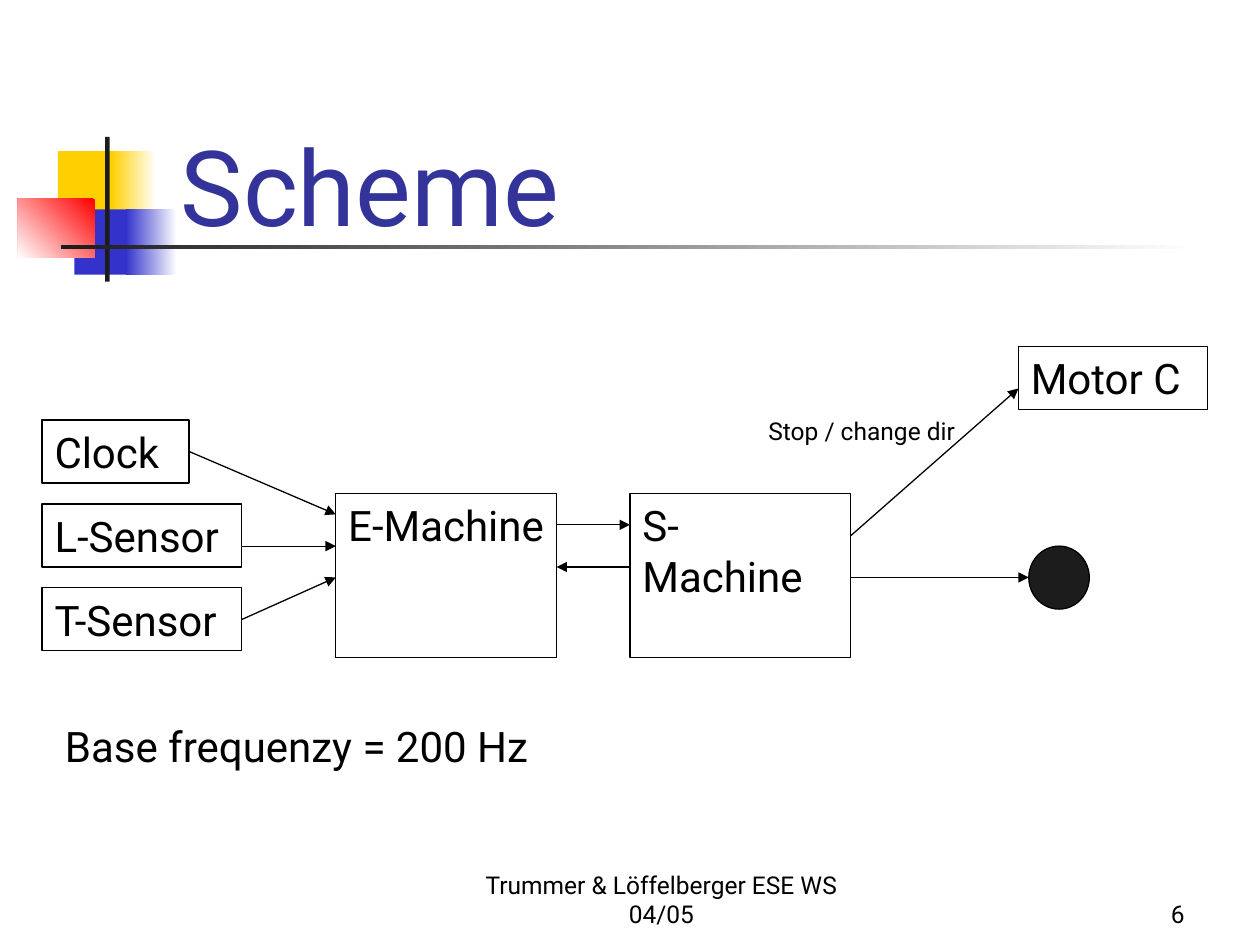
from dataclasses import dataclass

from lxml.etree import SubElement
from pptx import Presentation
from pptx.dml.color import RGBColor as Rgb
from pptx.enum.shapes import MSO_CONNECTOR as Link, MSO_SHAPE as Preset
from pptx.enum.text import MSO_ANCHOR as Anchor, MSO_AUTO_SIZE as Fit, PP_ALIGN as Align
from pptx.oxml.ns import qn
from pptx.util import Cm, Pt


@dataclass(frozen=True)
class Theme:
    font: str = "Roboto"
    title_size: int = 60
    body_size: int = 24
    small_size: int = 14
    title: str = "333399"
    ink: str = "000000"
    dark: str = "1C1C1C"
    white: str = "FFFFFF"
    yellow: str = "FFCF01"
    blue: str = "3333CC"
    red: str = "FF0000"
    line_width: float = 0.75


def apply(target, values):
    for name, value in values.items():
        setattr(target, name, value)


def cm(values):
    return [Cm(value) for value in values]


class SchemeSlide:
    def __init__(self, slide, theme):
        self.slide = slide
        self.theme = theme

    def put_text(self, shape, text, size, color=None, align=Align.LEFT,
                 anchor=Anchor.TOP, before=0):
        frame = shape.text_frame
        frame.text = text
        apply(frame, {"word_wrap": True, "auto_size": Fit.NONE, "vertical_anchor": anchor})
        paragraph = frame.paragraphs[0]
        apply(paragraph, {"alignment": align, "space_before": Pt(before)})
        apply(paragraph.font, {"name": self.theme.font, "size": Pt(size)})
        paragraph.font.color.rgb = Rgb.from_string(color or self.theme.ink)

    def outline(self, line):
        line.color.rgb = Rgb.from_string(self.theme.ink)
        line.width = Pt(self.theme.line_width)

    def title(self, text, place):
        heading = self.slide.shapes.title
        apply(heading, dict(zip(("left", "top", "width", "height"), cm(place))))
        self.put_text(heading, text, self.theme.title_size, self.theme.title,
                      anchor=Anchor.MIDDLE)

    def shape(self, place, fill=None, preset=Preset.RECTANGLE, outlined=False):
        part = self.slide.shapes.add_shape(preset, *cm(place))
        part.shadow.inherit = False
        if fill:
            part.fill.solid()
            part.fill.fore_color.rgb = Rgb.from_string(fill)
        else:
            part.fill.background()
        if outlined:
            self.outline(part.line)
        else:
            part.line.fill.background()
        return part

    def fade(self, place, start, end, angle=180):
        fill = self.shape(place).fill
        fill.gradient()
        fill.gradient_angle = angle
        for stop, color in zip(fill.gradient_stops, (start, end)):
            stop.color.rgb = Rgb.from_string(color)

    def node(self, text, place):
        box = self.shape(place, outlined=True)
        self.put_text(box, text, self.theme.body_size, before=15)

    def label(self, text, place, size, **style):
        box = self.slide.shapes.add_textbox(*cm(place))
        self.put_text(box, text, size, **style)

    def arrow(self, start, end):
        link = self.slide.shapes.add_connector(Link.STRAIGHT, *cm(start + end))
        self.outline(link.line)
        properties = link._element.spPr
        SubElement(properties.get_or_add_ln(), qn("a:tailEnd"), type="triangle")
        SubElement(properties, qn("a:effectLst"))


def main():
    deck = Presentation()
    apply(deck, {"slide_width": Cm(25.4), "slide_height": Cm(19.05)})
    theme = Theme()
    scheme = SchemeSlide(deck.slides.add_slide(deck.slide_layouts[5]), theme)

    # Corner ornament and rule
    scheme.shape((1.17, 3.05, 1.22, 1.32), theme.yellow)
    scheme.fade((2.24, 3.05, 0.91, 1.32), theme.white, theme.yellow)
    scheme.shape((1.5, 4.22, 1.17, 1.32), theme.blue)
    scheme.fade((2.54, 4.22, 1.02, 1.32), theme.white, theme.blue)
    scheme.fade((0.36, 4.01, 1.55, 1.18), theme.red, theme.white, angle=225)
    scheme.shape((2.12, 2.76, 0.09, 2.92), theme.dark)
    scheme.fade((1.23, 4.94, 22.86, 0.09), theme.white, theme.dark)

    scheme.title("Scheme", (3.39, 2.12, 16.93, 3.18))

    # Inputs, machines and outputs
    input_left, input_top, input_step, node_height = 0.85, 8.47, 1.69, 1.27
    for row, (name, width) in enumerate(
            (("Clock", 2.96), ("L-Sensor", 4.02), ("T-Sensor", 4.02))):
        scheme.node(name, (input_left, input_top + row * input_step, width, node_height))

    e_left, s_left, machine_width = 6.77, 12.7, 4.45
    for name, left in (("E-Machine", e_left), ("S-Machine", s_left)):
        scheme.node(name, (left, 9.95, machine_width, 3.3))

    motor_left, lamp_left = 20.53, 20.74
    scheme.node("Motor C", (motor_left, 6.99, 3.81, node_height))
    scheme.shape((lamp_left, 11.01, 1.22, node_height), theme.dark, Preset.OVAL, outlined=True)

    # Signal flow
    e_right, s_right = e_left + machine_width, s_left + machine_width
    for start, end in (
        ((3.81, 9.1), (e_left, 10.37)),
        ((4.87, 11.01), (e_left, 11.01)),
        ((4.87, 12.49), (e_left, 11.64)),
        ((e_right, 10.58), (s_left, 10.58)),
        ((s_left, 11.43), (e_right, 11.43)),
        ((s_right, 10.8), (motor_left, 7.83)),
        ((s_right, 11.64), (lamp_left, 11.64)),
    ):
        scheme.arrow(start, end)

    # Captions
    scheme.label("Stop / change dir", (15.24, 8.26, 4.45, 1.45), theme.small_size, before=8.8)
    scheme.label("Base frequenzy = 200 Hz", (1.06, 14.39, 11.86, 1.27),
                 theme.body_size, before=15)

    # Footer
    for text, left, width, align in (
        ("Trummer & Löffelberger ESE WS 04/05", 9.31, 8.05, Align.CENTER),
        ("6", 18.84, 5.29, Align.RIGHT),
    ):
        scheme.label(text, (left, 17.57, width, 1.27), theme.small_size,
                     align=align, anchor=Anchor.BOTTOM)

    deck.save("out.pptx")


if __name__ == "__main__":
    main()
